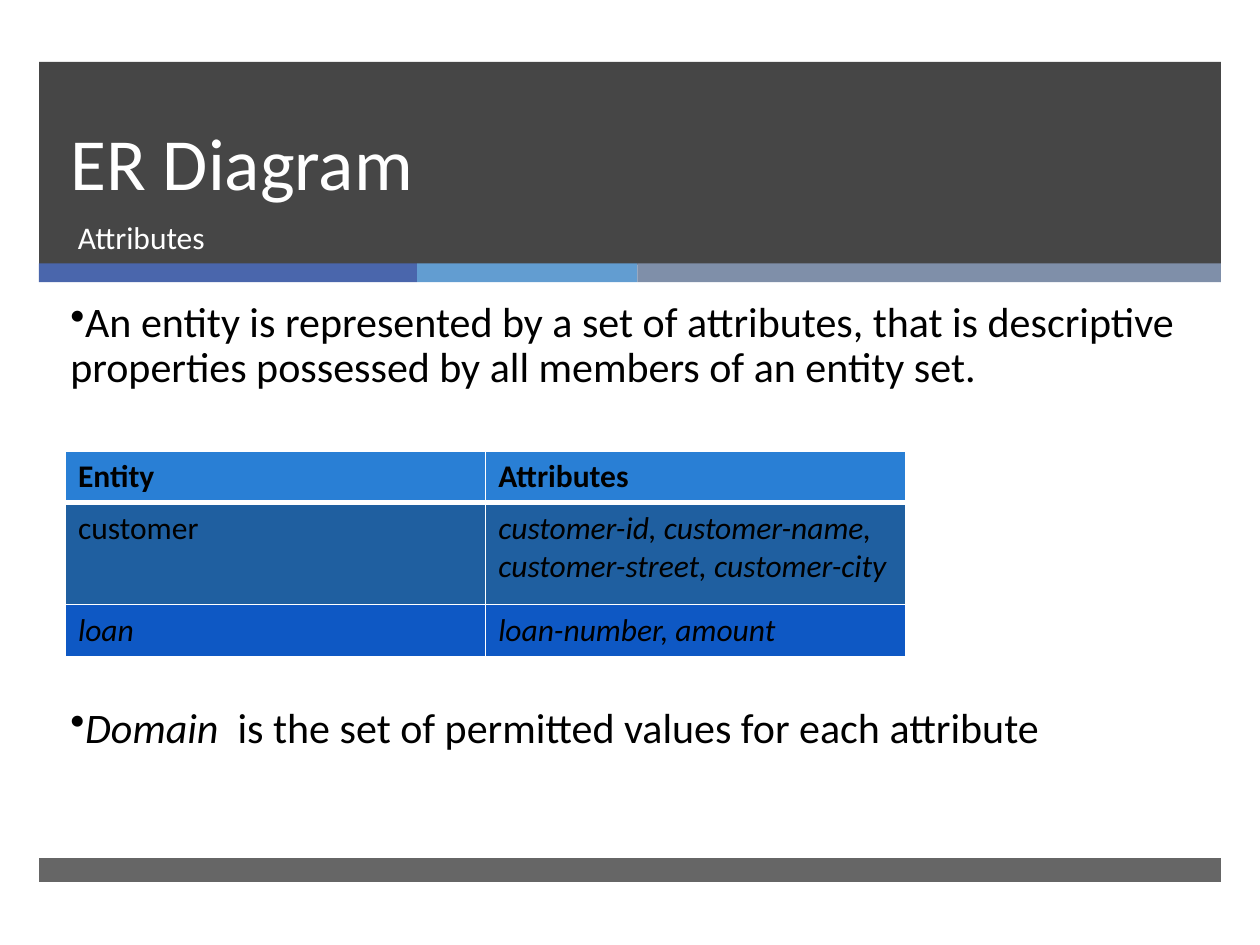
from dataclasses import dataclass

from lxml.etree import SubElement
from pptx import Presentation
from pptx.dml.color import RGBColor
from pptx.enum.shapes import MSO_SHAPE
from pptx.enum.text import MSO_ANCHOR, MSO_AUTO_SIZE, PP_ALIGN
from pptx.oxml import parse_xml
from pptx.oxml.ns import nsdecls, qn
from pptx.util import Inches, Pt


@dataclass(frozen=True)
class Theme:
    font: str = "Calibri"
    dark: str = "262626"
    light: str = "FFFFFF"
    text: str = "000000"
    accents: tuple = ("4A66AC", "629DD1", "7F8FA9")
    row_fills: tuple = ("297FD5", "1F5FA0", "0E58C4")
    title_size: int = 42
    body_size: int = 24
    small_size: int = 18


THEME = Theme()
TABLE_ROWS = (
    ("Entity", "Attributes"),
    ("customer", "customer-id, customer-name, customer-street, customer-city"),
    ("loan", "loan-number, amount"),
)


def set_values(target, values):
    for name, value in values.items():
        setattr(target, name, value)


def add_run(paragraph, text, size, color, **format_values):
    run = paragraph.add_run()
    run.text = text
    set_values(run.font, {"name": THEME.font, "size": Pt(size), **format_values})
    run.font.color.rgb = RGBColor.from_string(color)


def add_bar(slide, box, color, opacity=100):
    shape = slide.shapes.add_shape(MSO_SHAPE.RECTANGLE, *map(Inches, box))
    shape.shadow.inherit = False
    shape.line.fill.background()
    shape.fill.solid()
    shape.fill.fore_color.rgb = RGBColor.from_string(color)
    if opacity < 100:
        color_element = shape.element.spPr.find(".//" + qn("a:srgbClr"))
        SubElement(color_element, qn("a:alpha"), val=str(opacity * 1000))


def add_accent_strip(slide, box, widths):
    left, top, _, height = box
    for width, color in zip(widths, THEME.accents):
        add_bar(slide, (left, top, width, height), color)
        left += width


def add_text_box(slide, box):
    text_box = slide.shapes.add_textbox(*map(Inches, box))
    text_box.text_frame.word_wrap = True
    return text_box.text_frame


def add_header(slide, box):
    left, top, width, height = box
    add_bar(slide, box, THEME.dark, opacity=85)
    add_accent_strip(slide, (left, top + height - 0.01, width, 0.15), (3, 1.75, 4.63))

    title = slide.shapes.title
    slide.shapes.element.append(title.element)  # bring in front of the band
    title_box = (left + 0.15, top, 8.54, 1.19)
    set_values(title, dict(zip(("left", "top", "width", "height"), map(Inches, title_box))))
    set_values(title.text_frame, {
        "vertical_anchor": MSO_ANCHOR.BOTTOM,
        "auto_size": MSO_AUTO_SIZE.NONE,
        "word_wrap": True,
    })
    paragraph = title.text_frame.paragraphs[0]
    set_values(paragraph, {"alignment": PP_ALIGN.LEFT, "line_spacing": Pt(46)})
    add_run(paragraph, "ER Diagram", THEME.title_size, THEME.light)

    subtitle = add_text_box(slide, (left + 0.21, top + 1.19, 8.48, 0.53))
    add_run(subtitle.paragraphs[0], "Attributes", THEME.small_size, THEME.light)


def format_bullet(paragraph, space_before=0):
    set_values(paragraph, {"line_spacing": 0.9, "space_before": Pt(space_before)})
    properties = paragraph._p.get_or_add_pPr()
    set_values(properties, {})
    properties.set("marL", "0")
    properties.set("indent", "0")
    SubElement(properties, qn("a:buChar"), char="•")


def add_body(slide, box):
    """Place two bullets, with room for the table between them."""
    frame = add_text_box(slide, box)
    definition = frame.paragraphs[0]
    format_bullet(definition)
    add_run(
        definition,
        "An entity is represented by a set of attributes, that is descriptive "
        "properties possessed by all members of an entity set.",
        THEME.body_size, THEME.text,
    )
    domain = frame.add_paragraph()
    format_bullet(domain, space_before=180)
    add_run(domain, "Domain", THEME.body_size, THEME.text, italic=True)
    add_run(domain, "  is the set of permitted values for each attribute",
            THEME.body_size, THEME.text)


def set_borders(cell, widths):
    properties = cell._tc.get_or_add_tcPr()
    for index, (side, width) in enumerate(widths.items()):
        properties.insert(index, parse_xml(
            f'<a:ln{side} {nsdecls("a")} w="{Pt(width)}"><a:solidFill>'
            f'<a:srgbClr val="{THEME.light}"/></a:solidFill></a:ln{side}>'
        ))


def add_entity_table(slide, box, row_heights):
    frame = slide.shapes.add_table(len(TABLE_ROWS), len(TABLE_ROWS[0]), *map(Inches, box))
    table = frame.table
    for column in table.columns:
        column.width = Inches(box[2] / len(TABLE_ROWS[0]))
    for row_index, texts in enumerate(TABLE_ROWS):
        table.rows[row_index].height = Inches(row_heights[row_index])
        for column_index, text in enumerate(texts):
            cell = table.cell(row_index, column_index)
            cell.fill.solid()
            cell.fill.fore_color.rgb = RGBColor.from_string(THEME.row_fills[row_index])
            set_borders(cell, {
                "L": 1, "R": 1,
                "T": 3 if row_index == 1 else 1,
                "B": 3 if row_index == 0 else 1,
            })
            is_header = row_index == 0
            is_plain = is_header or text == "customer"
            add_run(cell.text_frame.paragraphs[0], text, THEME.small_size, THEME.text,
                    bold=is_header, italic=not is_plain)


def main():
    presentation = Presentation()
    set_values(presentation, {"slide_width": Inches(10), "slide_height": Inches(7.5)})
    slide = presentation.slides.add_slide(presentation.slide_layouts[5])
    add_header(slide, (0.31, 0.49, 9.38, 1.61))
    add_bar(slide, (0.31, 6.81, 9.38, 0.19), THEME.dark, opacity=70)
    add_body(slide, (0.46, 2.34, 9, 3.74))
    add_entity_table(slide, (0.52, 3.58, 6.67, 1.62), (0.41, 0.81, 0.41))
    presentation.save("out.pptx")


if __name__ == "__main__":
    main()
